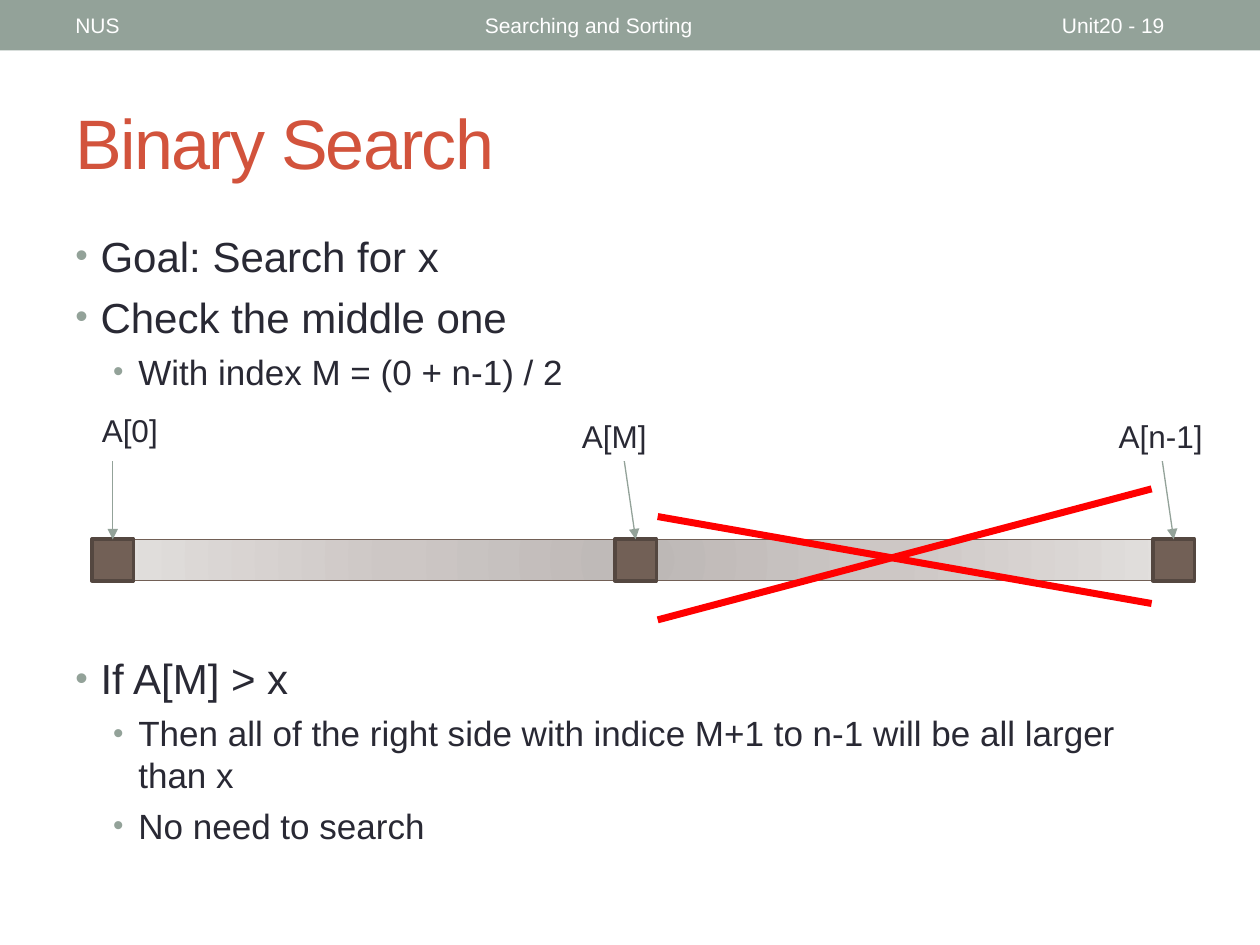
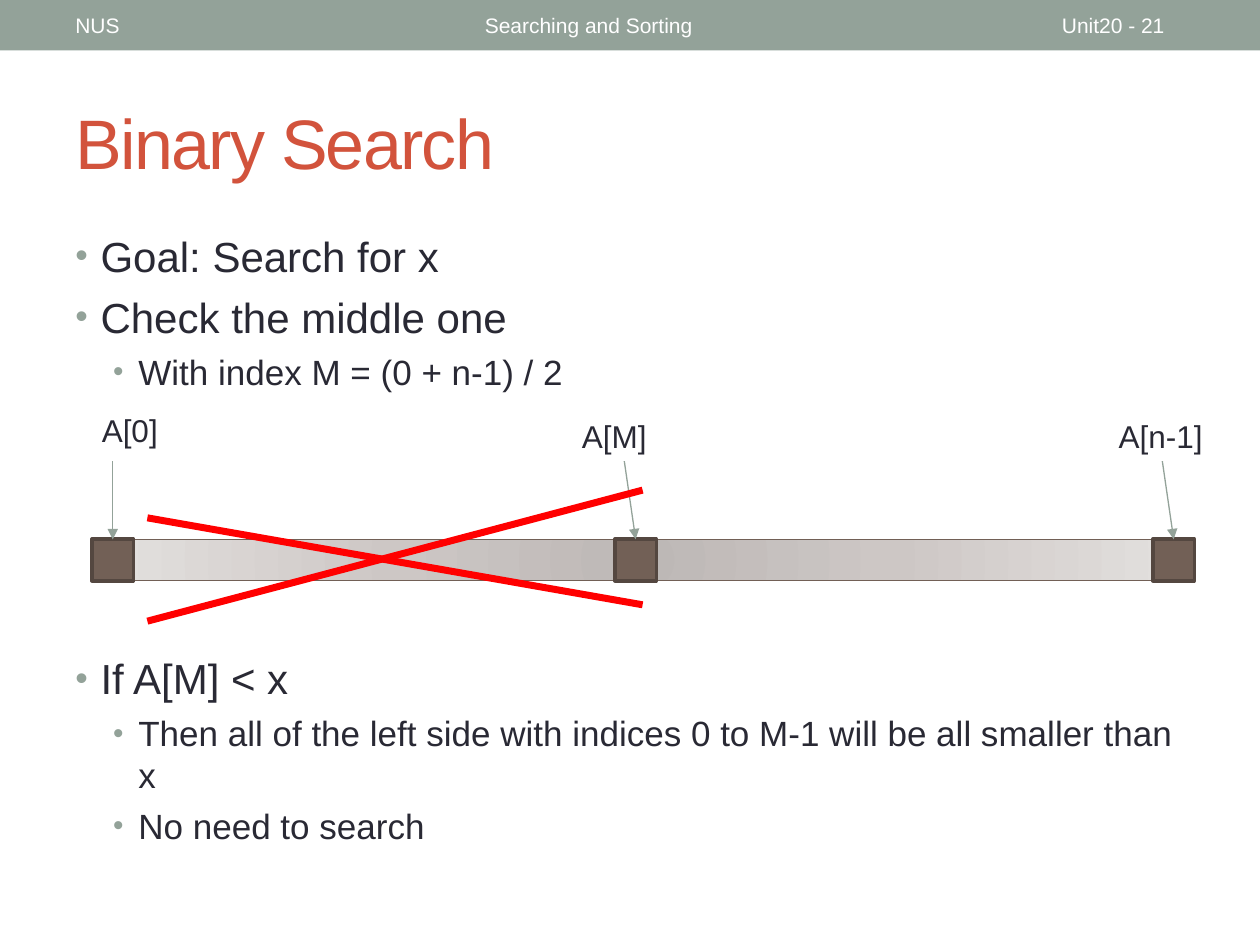
from lxml import etree
from pptx import Presentation
from pptx.dml.color import RGBColor
from pptx.enum.shapes import MSO_CONNECTOR, MSO_SHAPE
from pptx.enum.text import MSO_ANCHOR, MSO_AUTO_SIZE, PP_ALIGN
from pptx.oxml import parse_xml
from pptx.oxml.ns import nsdecls, qn
from pptx.util import Inches, Pt

RECT = MSO_SHAPE.RECTANGLE
STRAIGHT = MSO_CONNECTOR.STRAIGHT
MIDDLE, TOP = MSO_ANCHOR.MIDDLE, MSO_ANCHOR.TOP
LEFT = PP_ALIGN.LEFT

FONT = "Arial"
SAGE = RGBColor(0x93, 0xA2, 0x99)
RUST = RGBColor(0xD2, 0x53, 0x3C)
INK = RGBColor(0x29, 0x29, 0x34)
WHITE = RGBColor(0xFF, 0xFF, 0xFF)
BROWN = RGBColor(0x72, 0x60, 0x56)
DARK_BROWN = RGBColor(0x54, 0x47, 0x40)
RED = RGBColor(0xFF, 0x00, 0x00)
ARRAY_STOPS = ((0, "BDB8B6"), (45, "CDC7C5"), (100, "E4E1DF"))

LEVEL_SIZES = (24, 20)
LEVEL_INDENTS = (0.2, 0.5)
HANGING = 0.2
CELL = 0.33


def write(p, text, size=18, color=INK, spacing=None):
    p.alignment = LEFT
    r = p.add_run()
    r.text = text
    r.font.name = FONT
    r.font.size = Pt(size)
    r.font.color.rgb = color
    if spacing is not None:
        r.font._element.set("spc", str(spacing))


def add_text(slide, box, text=None, anchor=TOP, **fmt):
    sp = slide.shapes.add_textbox(*map(Inches, box))
    tf = sp.text_frame
    tf.word_wrap = True
    tf.vertical_anchor = anchor
    if text:
        write(tf.paragraphs[0], text, **fmt)
    return tf


def add_rect(slide, box, fill=None, line=None, width=0.75):
    sp = slide.shapes.add_shape(RECT, *map(Inches, box))
    sp.shadow.inherit = False
    if fill is not None:
        sp.fill.solid()
        sp.fill.fore_color.rgb = fill
    if line is None:
        sp.line.fill.background()
    else:
        sp.line.color.rgb = line
        sp.line.width = Pt(width)
    return sp


def add_line(slide, start, end, color, width):
    ln = slide.shapes.add_connector(STRAIGHT, *map(Inches, start + end))
    ln.line.color.rgb = color
    ln.line.width = Pt(width)
    etree.SubElement(ln._element.spPr, qn("a:effectLst"))
    return ln


def add_bullet(p, level):
    pPr = p._p.get_or_add_pPr()
    pPr.set("lvl", str(level))
    pPr.set("marL", str(Inches(LEVEL_INDENTS[level])))
    pPr.set("indent", str(Inches(-HANGING)))
    color = etree.SubElement(pPr, qn("a:buClr"))
    etree.SubElement(color, qn("a:srgbClr"), val=str(SAGE))
    etree.SubElement(pPr, qn("a:buSzPct"), val="85000")
    etree.SubElement(pPr, qn("a:buFont"), typeface=FONT)
    etree.SubElement(pPr, qn("a:buChar"), char="•")


def add_bullets(slide, box, items):
    """Fill the box with (level, text) items."""
    tf = add_text(slide, box)
    for i, (level, text) in enumerate(items):
        p = tf.add_paragraph() if i else tf.paragraphs[0]
        size = LEVEL_SIZES[level]
        add_bullet(p, level)
        if i:
            p.space_before = Pt(size / 4)
        write(p, text, size=size)


def add_header(slide, box, number):
    left, top, width, height = box
    add_rect(slide, box, SAGE)
    for x, w, text in ((0.5, 3.17, "NUS"),
                       (3.75, 4.5, "Searching and Sorting"),
                       (8.33, 1.17, f"Unit20 - {number}")):
        add_text(slide, (left + x, top + 0.02, w, height - 0.04), text,
                 anchor=MIDDLE, size=12, color=WHITE)


def set_title(slide, box, text):
    sp = slide.shapes.title
    sp.left, sp.top, sp.width, sp.height = map(Inches, box)
    tf = sp.text_frame
    tf.auto_size = MSO_AUTO_SIZE.NONE
    tf.vertical_anchor = MIDDLE
    write(tf.paragraphs[0], text, size=40, color=RUST, spacing=-100)


def fill_radial(sp, stops):
    gs = "".join(f'<a:gs pos="{pos * 1000}"><a:srgbClr val="{color}"/></a:gs>'
                 for pos, color in stops)
    sp.fill.gradient()
    old = sp._element.spPr.find(qn("a:gradFill"))
    old.getparent().replace(old, parse_xml(
        f'<a:gradFill {nsdecls("a")} rotWithShape="1"><a:gsLst>{gs}</a:gsLst>'
        '<a:path path="circle"><a:fillToRect l="100000" t="100000" '
        'r="100000" b="100000"/></a:path></a:gradFill>'))


def add_array(slide, box):
    """Draw the array bar with its first, middle and last cells labelled."""
    left, top, width, height = box
    fill_radial(add_rect(slide, box, line=BROWN), ARRAY_STOPS)
    # label, cell offset, label offset from cell, label rise, label width, arrow slant
    for text, x, dx, rise, w, slant in (
            ("A[0]", 0, -0.02, 1.07, 1.7, 0),
            ("A[M]", 4.15, -0.36, 1.02, 1.55, 0.09),
            ("A[n-1]", width - CELL, -0.37, 1.02, 1.2, 0.09)):
        x += left
        add_text(slide, (x + dx, top - rise, w, 0.4), text)
        cell = add_rect(slide, (x, top, CELL, height), BROWN, DARK_BROWN, 2.08)
        middle = x + CELL / 2
        arrow = add_line(slide, (middle - slant, top - 0.62), (middle, top),
                         SAGE, 0.75)
        arrow.end_connect(cell, 0)
        etree.SubElement(arrow.line._get_or_add_ln(), qn("a:tailEnd"),
                         type="triangle")


def add_cross(slide, box):
    left, top, width, height = box
    right = left + width
    add_line(slide, (left, top + 0.22), (right, top + 0.91), RED, 4)
    add_line(slide, (right, top), (left, top + height), RED, 4)


def add_search_slide(prs, number, cross_box, condition, consequence):
    slide = prs.slides.add_slide(prs.slide_layouts[5])
    add_header(slide, (0, 0, 10, 0.4), number)
    set_title(slide, (0.5, 0.58, 9, 1.08), "Binary Search")
    add_bullets(slide, (0.5, 1.78, 9, 1.4),
                [(0, "Goal: Search for x"),
                 (0, "Check the middle one"),
                 (1, "With index M = (0 + n-1) / 2")])
    add_array(slide, (0.73, 4.28, 8.75, CELL))
    add_cross(slide, cross_box)
    add_bullets(slide, (0.5, 5.13, 9, 1.95),
                [(0, condition), (1, consequence), (1, "No need to search")])


def main():
    prs = Presentation()
    prs.slide_width, prs.slide_height = Inches(10), Inches(7.5)
    add_search_slide(
        prs, 19, (5.22, 3.88, 3.92, 1.04), "If A[M] > x",
        "Then all of the right side with indice M+1 to n-1 will be all larger than x")
    add_search_slide(
        prs, 21, (1.17, 3.89, 3.93, 1.04), "If A[M] < x",
        "Then all of the left side with indices 0 to M-1 will be all smaller than x")
    prs.save("out.pptx")


if __name__ == "__main__":
    main()
